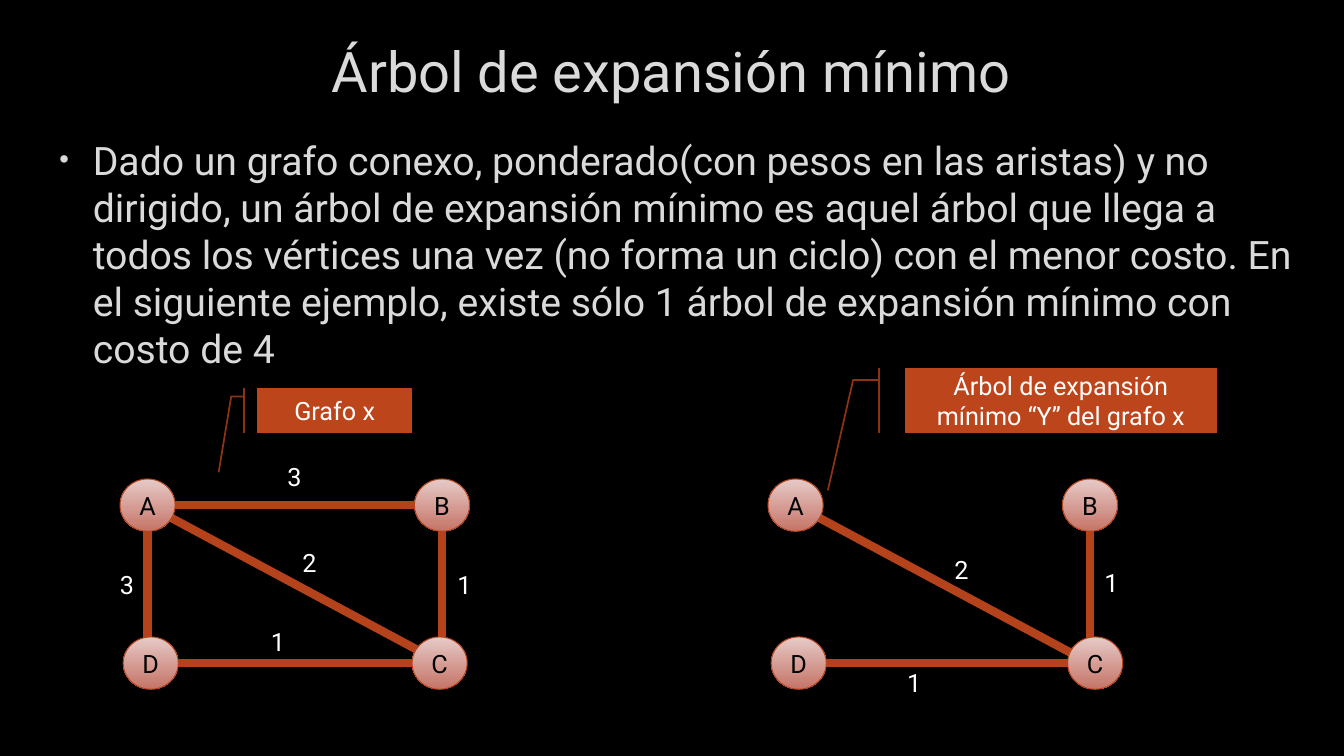
"""Build the slide that explains a minimum spanning tree with two graphs."""
from dataclasses import dataclass

from lxml.etree import SubElement
from pptx import Presentation
from pptx.dml.color import RGBColor
from pptx.enum.shapes import MSO_CONNECTOR, MSO_SHAPE
from pptx.enum.text import MSO_ANCHOR, MSO_AUTO_SIZE, PP_ALIGN
from pptx.oxml import parse_xml
from pptx.oxml.ns import nsdecls, qn
from pptx.util import Cm, Pt


@dataclass(frozen=True)
class Theme:
    font: str = "Roboto"
    background: str = "000000"
    heading: str = "DADADA"
    outline: str = "404040"
    edge: str = "B4421A"
    node_top: str = "E6CAC7"
    node_bottom: str = "C67467"
    node_text: str = "000000"
    callout: str = "BC451B"
    callout_line: str = "8B3314"
    light: str = "FFFFFF"
    title_size: int = 40
    body_size: int = 28
    label_size: int = 18


THEME = Theme()
TITLE = "Árbol de expansión mínimo"
BODY = (
    "Dado un grafo conexo, ponderado(con pesos en las aristas) y no dirigido, "
    "un árbol de expansión mínimo es aquel árbol que llega a todos los vértices "
    "una vez (no forma un ciclo) con el menor costo. En el siguiente ejemplo, "
    "existe sólo 1 árbol de expansión mínimo con costo de 4"
)
GRAPHS = [
    {
        "left": 3.72,
        "nodes": {"A": 0, "B": 7.42, "D": 0.08, "C": 7.36},
        "edges": [
            ("AC", "2", 7.37, 13.67),
            ("AB", "3", 6.99, 11.51),
            ("BC", "1", 11.28, 14.22),
            ("DC", "1", 6.58, 15.67),
            ("AD", "3", 2.77, 14.22),
        ],
        "callout": ("Grafo x", (6.48, 9.78, 3.91, 1.12)),
    },
    {
        "left": 20.05,
        "nodes": {"A": 0, "B": 7.42, "D": 0.08, "C": 7.55},
        "edges": [
            ("AC", "2", 23.8, 13.84),
            ("BC", "1", 27.58, 14.17),
            ("DC", "1", 22.61, 16.69),
        ],
        "callout": ("Árbol de expansión mínimo “Y” del grafo x", (22.81, 9.27, 7.85, 1.63)),
    },
]
ROWS = {"A": 12.73, "B": 12.73, "C": 16.71, "D": 16.71}
COLUMNS = {"A": 0, "D": 0, "B": 7.42, "C": 7.42}
NODE_WIDTH, NODE_HEIGHT = 1.39, 1.32
CALLOUT_POINTS = (0.188, -0.083, 0.188, -0.167, 1.894, -0.248)


def color(value):
    """Return a colour from its hexadecimal digits."""
    return RGBColor.from_string(value)


def lengths(*values):
    """Convert numbers in centimetres to lengths."""
    return [Cm(value) for value in values]


def write(shape, text, size=THEME.label_size, fill=THEME.light, align=PP_ALIGN.CENTER,
          anchor=MSO_ANCHOR.MIDDLE, wrap=True, outlined=False):
    """Write one formatted paragraph in a shape and return it."""
    frame = shape.text_frame
    frame.word_wrap = wrap
    frame.vertical_anchor = anchor
    frame.auto_size = MSO_AUTO_SIZE.NONE if wrap else MSO_AUTO_SIZE.SHAPE_TO_FIT_TEXT
    paragraph = frame.paragraphs[0]
    paragraph.alignment = align
    run = paragraph.add_run()
    run.text = text
    run.font.name = THEME.font
    run.font.size = Pt(size)
    run.font.color.rgb = color(fill)
    if outlined:
        run.font._element.insert(0, parse_xml(
            f'<a:ln {nsdecls("a")} w="9525"><a:solidFill><a:srgbClr val="{THEME.outline}">'
            '<a:alpha val="10000"/></a:srgbClr></a:solidFill></a:ln>'))
    return paragraph


def add_bullet(paragraph):
    """Give a paragraph a small hanging bullet."""
    properties = paragraph._p.get_or_add_pPr()
    properties.set("marL", str(Cm(0.97)))
    properties.set("indent", str(Cm(-0.84)))
    bullet_color = SubElement(properties, qn("a:buClr"))
    SubElement(bullet_color, qn("a:srgbClr"), val=THEME.heading)
    SubElement(properties, qn("a:buSzPct"), val="70000")
    SubElement(properties, qn("a:buFont"), typeface="Arial")
    SubElement(properties, qn("a:buChar"), char="•")


def add_edge(slide, start, end):
    """Draw a thick line between two points."""
    edge = slide.shapes.add_connector(MSO_CONNECTOR.STRAIGHT, *lengths(*start, *end))
    edge.line.color.rgb = color(THEME.edge)
    edge.line.width = Pt(6)
    SubElement(edge._element.spPr, qn("a:effectLst"))


def add_node(slide, name, x, y):
    """Draw a named vertex centred on a point."""
    node = slide.shapes.add_shape(MSO_SHAPE.OVAL, *lengths(
        x - NODE_WIDTH / 2, y - NODE_HEIGHT / 2, NODE_WIDTH, NODE_HEIGHT))
    node.shadow.inherit = False
    node.fill.gradient()
    node.fill.gradient_angle = 270
    for stop, value in zip(node.fill.gradient_stops, (THEME.node_top, THEME.node_bottom)):
        stop.color.rgb = color(value)
    node.line.color.rgb = color(THEME.edge)
    node.line.width = Pt(0.75)
    write(node, name, fill=THEME.node_text)


def add_callout(slide, text, box):
    """Draw a callout with an accent bar."""
    callout = slide.shapes.add_shape(MSO_SHAPE.LINE_CALLOUT_2_ACCENT_BAR, *lengths(*box))
    callout.shadow.inherit = False
    for index, value in enumerate(CALLOUT_POINTS):
        callout.adjustments[index] = value
    callout.fill.solid()
    callout.fill.fore_color.rgb = color(THEME.callout)
    callout.line.color.rgb = color(THEME.callout_line)
    callout.line.width = Pt(1.25)
    write(callout, text)


def add_graph(slide, graph):
    """Draw the edges, vertices, callout and weights of a graph."""
    left = graph["left"]
    for ends, *_ in graph["edges"]:
        add_edge(slide, *[(left + COLUMNS[name], ROWS[name]) for name in ends])
    for name, offset in graph["nodes"].items():
        add_node(slide, name, left + offset, ROWS[name])
    add_callout(slide, *graph["callout"])
    for _, weight, x, y in graph["edges"]:
        label = slide.shapes.add_textbox(*lengths(x, y, 0.86, 1.02))
        write(label, weight, align=PP_ALIGN.LEFT, anchor=MSO_ANCHOR.TOP, wrap=False)


presentation = Presentation()
presentation.slide_width, presentation.slide_height = lengths(33.87, 19.05)
slide = presentation.slides.add_slide(presentation.slide_layouts[5])
slide.background.fill.solid()
slide.background.fill.fore_color.rgb = color(THEME.background)

title = slide.shapes.title
title.left, title.top, title.width, title.height = lengths(2.54, 0.41, 28.75, 2.69)
write(title, TITLE, size=THEME.title_size, fill=THEME.heading, outlined=True)

body = slide.shapes.add_textbox(*lengths(1.12, 3.3, 32.21, 5.46))
definition = write(body, BODY, size=THEME.body_size, fill=THEME.heading,
                   align=PP_ALIGN.LEFT, anchor=MSO_ANCHOR.TOP, outlined=True)
definition.space_after = Pt(6)
add_bullet(definition)

for graph in GRAPHS:
    add_graph(slide, graph)

presentation.save("out.pptx")
